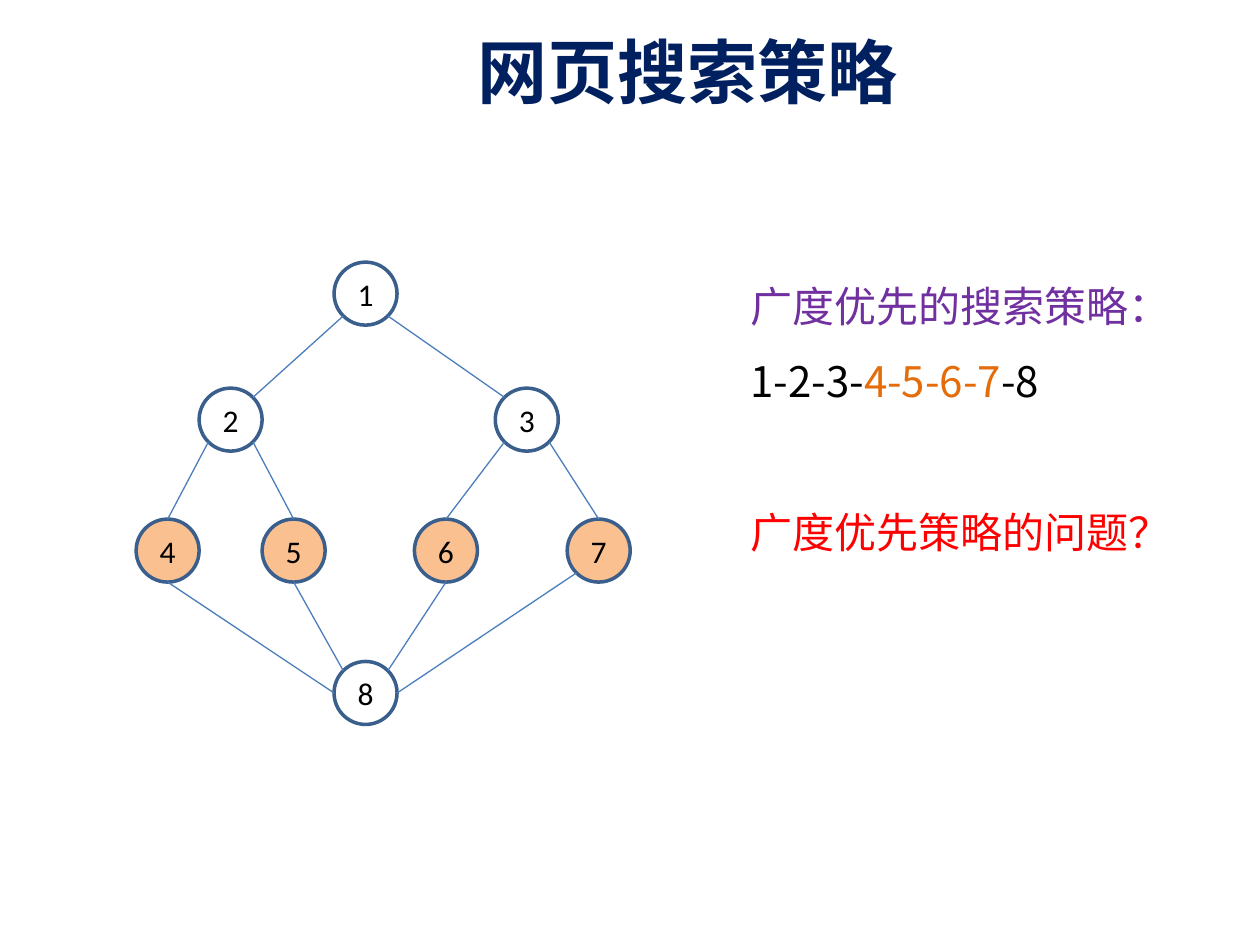
import math

import pptx
import pptx.dml.color
import pptx.enum.shapes
import pptx.enum.text
import pptx.oxml.ns
import pptx.util
from lxml import etree

Cm, Pt = pptx.util.Cm, pptx.util.Pt
RGBColor = pptx.dml.color.RGBColor
ALIGN = pptx.enum.text.PP_ALIGN

NAVY = RGBColor(0x00, 0x20, 0x60)
BLACK = RGBColor(0x00, 0x00, 0x00)
PURPLE = RGBColor(0x70, 0x30, 0xA0)
ORANGE = RGBColor(0xE4, 0x6C, 0x0A)
RED = RGBColor(0xFF, 0x00, 0x00)
PEACH = RGBColor(0xFA, 0xC0, 0x90)
OUTLINE = RGBColor(0x3A, 0x5F, 0x8C)
EDGE_BLUE = RGBColor(0x4B, 0x7E, 0xBC)
LATIN, CJK = "Calibri", "Noto Sans CJK SC"

# Content: lengths in cm
TITLE = "网页搜索策略"
NOTES = [  # space before in points, then runs
    (0, [("广度优先的搜索策略：", PURPLE)]),
    (0, [("1-2-3-", BLACK), ("4-5-6-7", ORANGE), ("-8", BLACK)]),
    (43, [("广度优先策略的问题？", RED)]),
]
DIAMETER = 1.27
NODES = {  # centre of each page
    1: (7.37, 5.92),
    2: (4.65, 8.46), 3: (10.62, 8.46),
    4: (3.38, 11.1), 5: (5.92, 11.1), 6: (8.99, 11.1), 7: (12.07, 11.1),
    8: (7.37, 13.97),
}
HIGHLIGHTED = {4, 5, 6, 7}
ANGLES = {"right": 0, "lower right": 45, "bottom": 90, "lower left": 135,
          "left": 180, "upper left": 225, "top": 270, "upper right": 315}
LINKS = [
    (1, "lower left", 2, "upper right"), (1, "lower right", 3, "upper right"),
    (2, "lower left", 4, "top"), (2, "lower right", 5, "top"),
    (3, "lower left", 6, "top"), (3, "lower right", 7, "top"),
    (4, "bottom", 8, "left"), (5, "bottom", 8, "upper left"),
    (6, "bottom", 8, "upper right"), (7, "lower left", 8, "right"),
]
LINKS[1] = (1, "lower right", 3, "upper left")


def add_run(paragraph, text, size, color, font=LATIN, bold=False):
    run = paragraph.add_run()
    run.text = text
    run.font.size, run.font.bold = Pt(size), bold
    run.font.color.rgb = color
    run.font.name = font
    east_asian = etree.SubElement(run.font._element, pptx.oxml.ns.qn("a:ea"))
    east_asian.set("typeface", CJK)


def add_text_frame(slide, left, top, width, height):
    frame = slide.shapes.add_textbox(Cm(left), Cm(top), Cm(width), Cm(height)).text_frame
    frame.word_wrap = True
    return frame


def add_node(slide, number, x, y):
    node = slide.shapes.add_shape(
        pptx.enum.shapes.MSO_SHAPE.OVAL,
        Cm(x - DIAMETER / 2), Cm(y - DIAMETER / 2), Cm(DIAMETER), Cm(DIAMETER))
    node.shadow.inherit = False
    if number in HIGHLIGHTED:
        node.fill.solid()
        node.fill.fore_color.rgb = PEACH
    else:
        node.fill.background()
    node.line.color.rgb = OUTLINE
    node.line.width = Pt(2)
    frame = node.text_frame
    frame.margin_left = frame.margin_right = 0
    frame.vertical_anchor = pptx.enum.text.MSO_ANCHOR.MIDDLE
    frame.paragraphs[0].alignment = ALIGN.CENTER
    add_run(frame.paragraphs[0], str(number), 18, BLACK)


def rim_point(number, side):
    x, y = NODES[number]
    angle = math.radians(ANGLES[side])
    return (Cm(x + DIAMETER / 2 * math.cos(angle)),
            Cm(y + DIAMETER / 2 * math.sin(angle)))


def add_link(slide, parent, start, child, end):
    link = slide.shapes.add_connector(
        pptx.enum.shapes.MSO_CONNECTOR.STRAIGHT,
        *rim_point(parent, start), *rim_point(child, end))
    link.line.color.rgb = EDGE_BLUE
    link.line.width = Pt(0.75)
    etree.SubElement(link._element.spPr, pptx.oxml.ns.qn("a:effectLst"))


def main():
    deck = pptx.Presentation()
    deck.slide_width, deck.slide_height = Cm(25.4), Cm(19.05)
    slide = deck.slides.add_slide(deck.slide_layouts[6])

    # Title
    heading = add_text_frame(slide, 8.05, 0.64, 11.63, 2.49).paragraphs[0]
    heading.alignment = ALIGN.CENTER
    heading.line_spacing = 0.9
    add_run(heading, TITLE, 40, NAVY, bold=True)

    # Graph of pages
    for number, centre in NODES.items():
        add_node(slide, number, *centre)
    for link in LINKS:
        add_link(slide, *link)

    # Search order and question
    notes = add_text_frame(slide, 14.88, 5.03, 10.31, 6.22)
    for index, (space, runs) in enumerate(NOTES):
        line = notes.add_paragraph() if index else notes.paragraphs[0]
        line.line_spacing = Pt(43)
        line.space_before = Pt(space)
        for text, color in runs:
            add_run(line, text, 24, color, CJK)

    deck.save("out.pptx")


if __name__ == "__main__":
    main()
